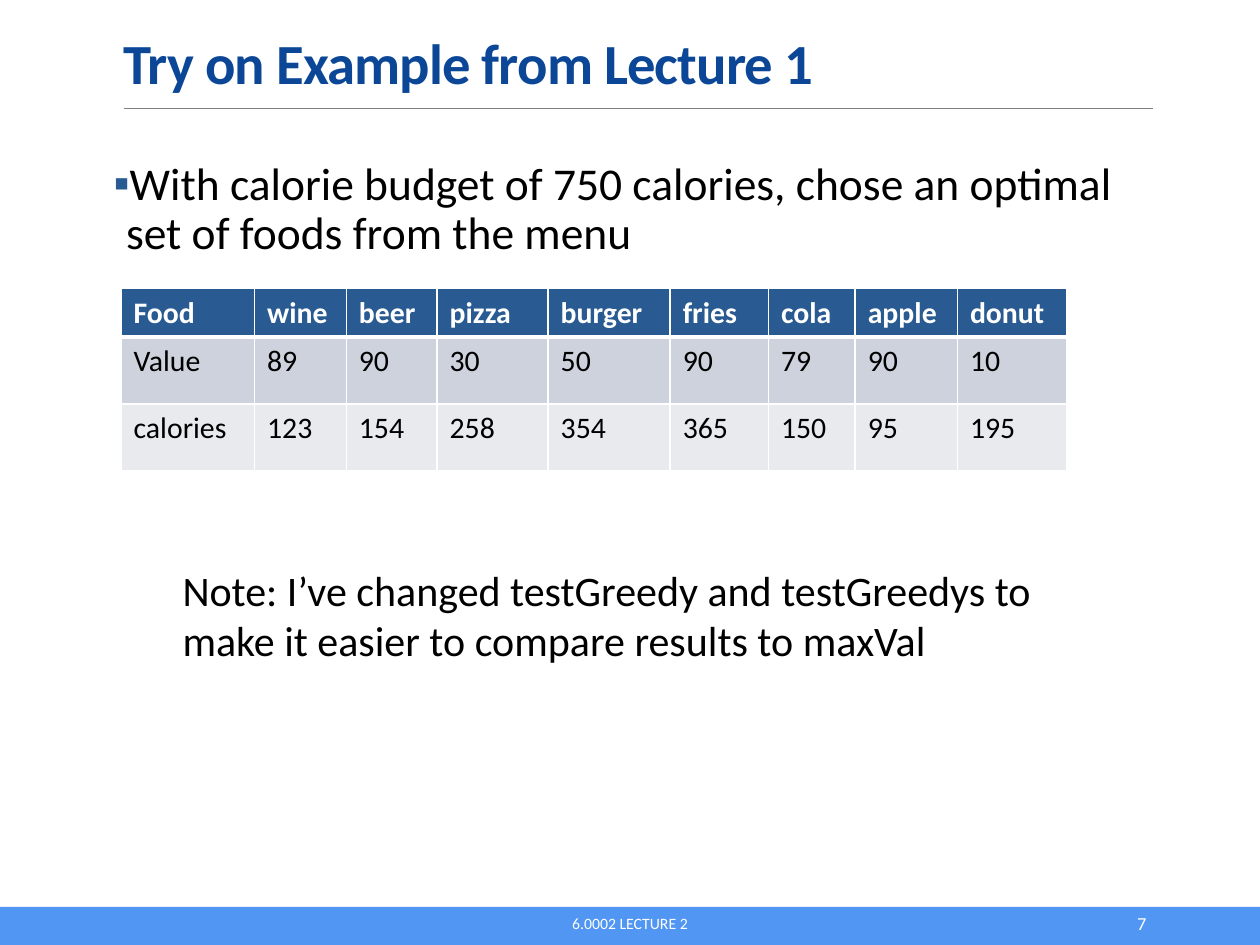
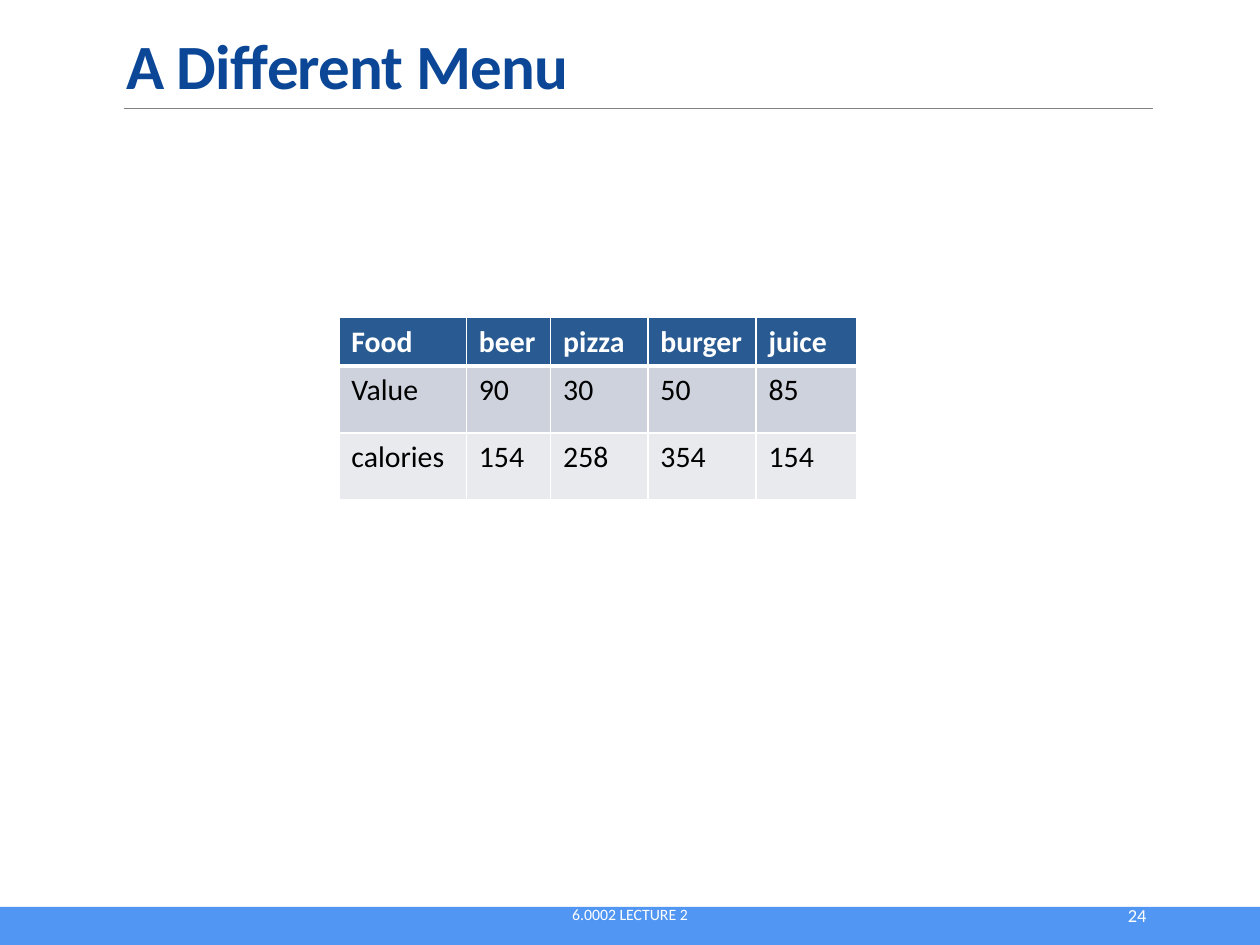
from lxml.etree import SubElement
from pptx import Presentation
from pptx.dml.color import RGBColor
from pptx.enum.shapes import MSO_CONNECTOR, MSO_SHAPE
from pptx.enum.text import MSO_ANCHOR, MSO_AUTO_SIZE, PP_ALIGN
from pptx.oxml.ns import qn
from pptx.util import Cm, Pt

# Content, lengths in cm
FOOTER = "6.0002 LECTURE 2"
SLIDES = [
    {
        "title": "Try on Example from Lecture 1", "title_size": 32.4,
        "title_box": (2.24, 0.71, 20.96, 1.35),
        "number": "7", "footer_top": 18.11,
        "bullet": "With calorie budget of 750 calories, chose an optimal "
                  "set of foods from the menu",
        "note": "Note: I’ve changed testGreedy and testGreedys to "
                "make it easier to compare results to maxVal",
        "menu_at": (2.44, 5.82),
        "columns": [2.69, 1.85, 1.83, 2.24, 2.46, 1.98, 1.75, 2.06, 2.21],
        "menu": [
            ["Food", "wine", "beer", "pizza", "burger", "fries", "cola", "apple", "donut"],
            ["Value", "89", "90", "30", "50", "90", "79", "90", "10"],
            ["calories", "123", "154", "258", "354", "365", "150", "95", "195"],
        ],
    },
    {
        "title": "A Different Menu", "title_size": 36,
        "title_box": (2.29, 0.3, 20.96, 1.9),
        "number": "24", "footer_top": 17.93,
        "menu_at": (6.83, 6.4),
        "columns": [2.57, 1.7, 1.96, 2.18, 2.03],
        "menu": [
            ["Food", "beer", "pizza", "burger", "juice"],
            ["Value", "90", "30", "50", "85"],
            ["calories", "154", "258", "354", "154"],
        ],
    },
]

# Shared style
FONT = "Calibri"
COLORS = {
    "title": "0B4796", "text": "000000", "white": "FFFFFF", "rule": "808080",
    "band": "5096F2", "header": "295B92", "value": "CDD2DC", "calories": "E8EAEE",
}
ROW_FILLS = ["header", "value", "calories"]
ROW_HEIGHTS = [0.92, 1.35, 1.35]
BODY_BOX = (2.29, 3.12, 20.96, 13.82)
NOTE_BOX = (3.43, 11.25, 18.14, 2.31)
BAND_BOX = (0, 18.28, 25.4, 0.77)
RULE_ENDS = (2.49, 2.18, 23.24, 2.18)


def rgb(name):
    return RGBColor.from_string(COLORS[name])


def cm(lengths):
    return [Cm(v) for v in lengths]


def place(sp, box):
    sp.left, sp.top, sp.width, sp.height = cm(box)


def add_run(p, text, size, color, bold=False):
    r = p.add_run()
    r.text = text
    r.font.name, r.font.size, r.font.bold = FONT, Pt(size), bold
    r.font.color.rgb = rgb(color)
    return r


def add_label(s, box, text, size, color, align=PP_ALIGN.LEFT, anchor=MSO_ANCHOR.TOP):
    tf = s.shapes.add_textbox(*cm(box)).text_frame
    tf.word_wrap, tf.vertical_anchor = True, anchor
    p = tf.paragraphs[0]
    p.alignment = align
    add_run(p, text, size, color)


def add_frame(s, data):
    """Band, rule, footer and slide number."""
    band = s.shapes.add_shape(MSO_SHAPE.RECTANGLE, *cm(BAND_BOX))
    band.shadow.inherit = False
    band.fill.solid()
    band.fill.fore_color.rgb = rgb("band")
    band.line.fill.background()
    rule = s.shapes.add_connector(MSO_CONNECTOR.STRAIGHT, *cm(RULE_ENDS))
    rule.line.color.rgb = rgb("rule")
    rule.line.width = Pt(0.5)
    SubElement(rule._element.spPr, qn("a:effectLst"))
    top = data["footer_top"]
    add_label(s, (7.67, top, 10.06, 1.02), FOOTER, 9, "white",
              PP_ALIGN.CENTER, MSO_ANCHOR.MIDDLE)
    add_label(s, (20.62, top, 2.74, 1.02), data["number"], 10.5, "white",
              PP_ALIGN.RIGHT, MSO_ANCHOR.MIDDLE)


def set_title(s, data):
    sp = s.shapes.title
    place(sp, data["title_box"])
    tf = sp.text_frame
    tf.auto_size, tf.vertical_anchor = MSO_AUTO_SIZE.NONE, MSO_ANCHOR.BOTTOM
    p = tf.paragraphs[0]
    p.alignment, p.line_spacing = PP_ALIGN.LEFT, 0.85
    r = add_run(p, data["title"], data["title_size"], "title", True)
    r.font._element.set("spc", "-50")


def set_bullet(s, text):
    sp = s.placeholders[1]
    place(sp, BODY_BOX)
    tf = sp.text_frame
    tf.auto_size = MSO_AUTO_SIZE.NONE
    tf.margin_left = tf.margin_right = 0
    p = tf.paragraphs[0]
    p.line_spacing, p.space_before, p.space_after = 0.9, Pt(0), Pt(2)
    pPr = p._p.get_or_add_pPr()
    pPr.set("marL", str(Cm(0.25)))
    pPr.set("indent", str(-Cm(0.25)))
    color = SubElement(pPr, qn("a:buClr"))
    SubElement(color, qn("a:srgbClr"), val=COLORS["header"])
    SubElement(pPr, qn("a:buChar"), char="▪")
    add_run(p, text, 26, "text")


def set_borders(cell, widths):
    tcPr = cell._tc.get_or_add_tcPr()
    for side, width in widths.items():
        ln = SubElement(tcPr, qn(f"a:ln{side}"), w=str(Pt(width)))
        fill = SubElement(ln, qn("a:solidFill"))
        SubElement(fill, qn("a:srgbClr"), val=COLORS["white"])


def add_menu(s, data):
    rows, columns = data["menu"], data["columns"]
    size = (sum(columns), sum(ROW_HEIGHTS))
    table = s.shapes.add_table(len(rows), len(columns),
                               *cm(data["menu_at"] + size)).table
    for column, width in zip(table.columns, columns):
        column.width = Cm(width)
    for i, row in enumerate(rows):
        table.rows[i].height = Cm(ROW_HEIGHTS[i])
        header = i == 0
        borders = {"L": 1, "R": 1, "T": 3 if i == 1 else 1, "B": 3 if header else 1}
        for j, text in enumerate(row):
            cell = table.cell(i, j)
            set_borders(cell, borders)
            cell.fill.solid()
            cell.fill.fore_color.rgb = rgb(ROW_FILLS[i])
            add_run(cell.text_frame.paragraphs[0], text, 17,
                    "white" if header else "text", header)


def main():
    prs = Presentation()
    prs.slide_width, prs.slide_height = Cm(25.4), Cm(19.05)
    for data in SLIDES:
        # Title and Content with a bullet, otherwise Title Only
        layout = prs.slide_layouts[1 if "bullet" in data else 5]
        s = prs.slides.add_slide(layout)
        add_frame(s, data)
        set_title(s, data)
        if "bullet" in data:
            set_bullet(s, data["bullet"])
        add_menu(s, data)
        if "note" in data:
            add_label(s, NOTE_BOX, data["note"], 24, "text")
    prs.save("out.pptx")


if __name__ == "__main__":
    main()
